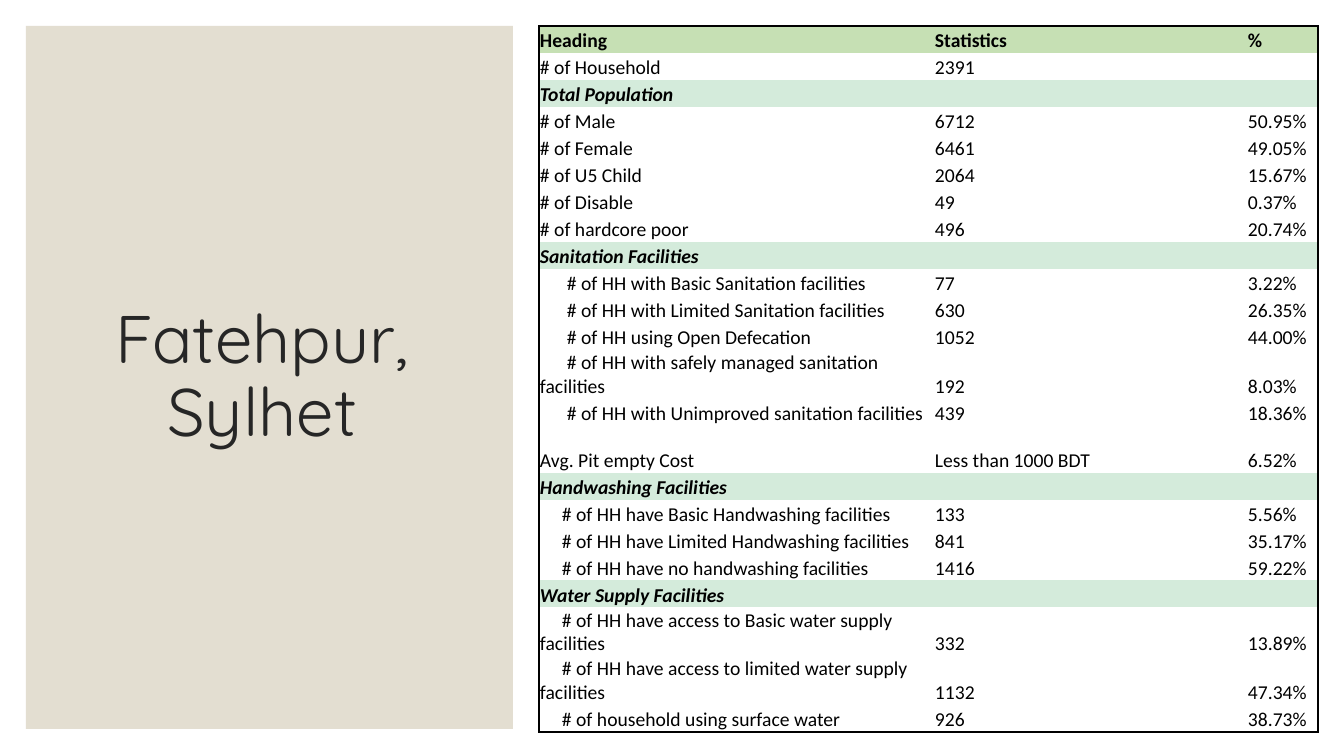
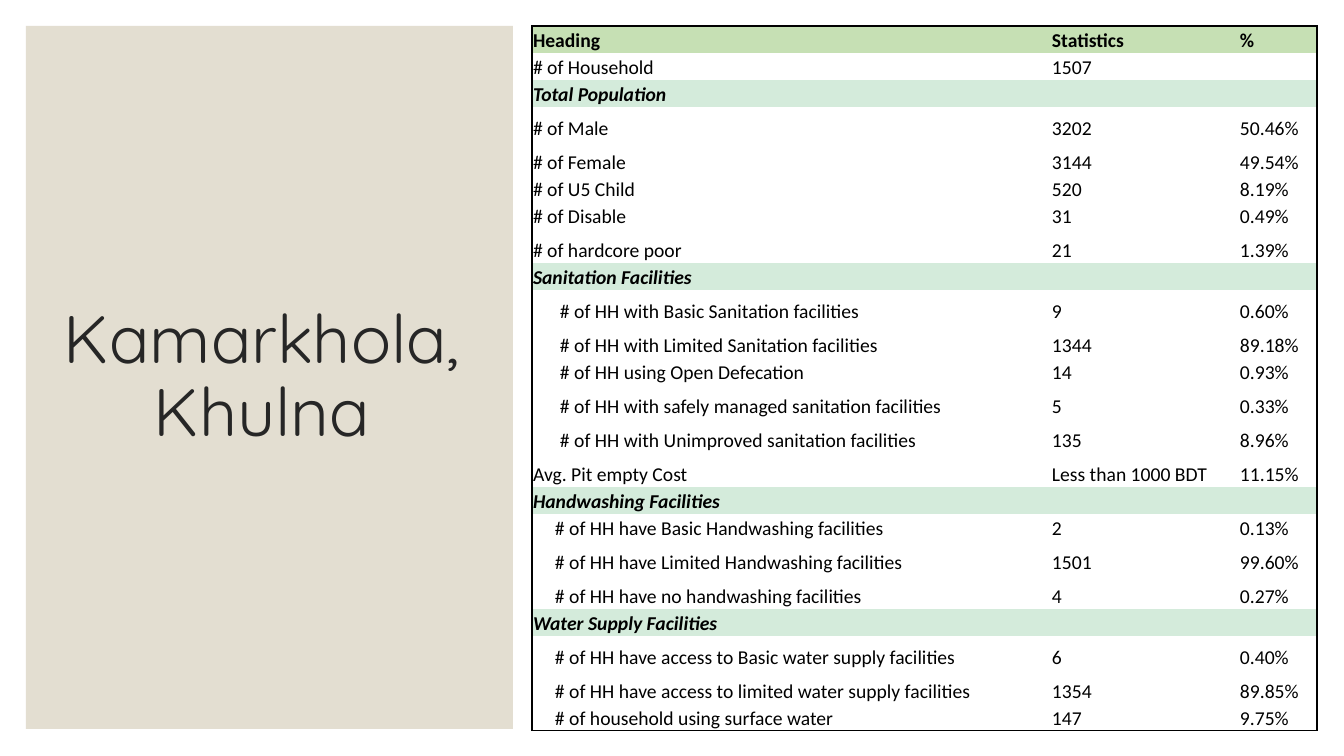
from lxml import etree
from pptx import Presentation
from pptx.dml.color import RGBColor
from pptx.enum import shapes, text
from pptx.oxml.ns import qn
from pptx.util import Emu, Pt

PX = 914400 / 100.8
PAGE_WIDTH, PAGE_HEIGHT = 1344, 756
TOP = 26

BLACK = RGBColor(0x00, 0x00, 0x00)
WHITE = RGBColor(0xFF, 0xFF, 0xFF)
INK = RGBColor(0x26, 0x26, 0x26)
SAND = RGBColor(0xE3, 0xDE, 0xD1)
HEADING_GREEN = RGBColor(0xC6, 0xE0, 0xB4)
SECTION_GREEN = RGBColor(0xD4, 0xEB, 0xDB)

TITLE_FONT, TABLE_FONT = "Quicksand", "Calibri"

# Each section: name, first-line indent in px, row labels
SECTIONS = [
    (None, 0, ["# of Household"]),
    ("Total Population", 0, [
        "# of Male", "# of Female", "# of U5 Child", "# of Disable",
        "# of hardcore poor"]),
    ("Sanitation Facilities", 27, [
        "# of HH with Basic Sanitation facilities",
        "# of HH with Limited Sanitation facilities",
        "# of HH using Open Defecation",
        "# of HH with safely managed sanitation facilities",
        "# of HH with Unimproved sanitation facilities"]),
    (None, 0, ["Avg. Pit empty Cost"]),
    ("Handwashing Facilities", 22, [
        "# of HH have Basic Handwashing facilities",
        "# of HH have Limited Handwashing facilities",
        "# of HH have no handwashing facilities"]),
    ("Water Supply Facilities", 22, [
        "# of HH have access to Basic water supply facilities",
        "# of HH have access to limited water supply facilities",
        "# of household using surface water"]),
]

# Statistics and share, in the order of the row labels
FATEHPUR = [
    ("2391", ""), ("6712", "50.95%"), ("6461", "49.05%"),
    ("2064", "15.67%"), ("49", "0.37%"), ("496", "20.74%"),
    ("77", "3.22%"), ("630", "26.35%"), ("1052", "44.00%"),
    ("192", "8.03%"), ("439", "18.36%"),
    ("Less than 1000 BDT", "6.52%"),
    ("133", "5.56%"), ("841", "35.17%"), ("1416", "59.22%"),
    ("332", "13.89%"), ("1132", "47.34%"), ("926", "38.73%"),
]
KAMARKHOLA = [
    ("1507", ""), ("3202", "50.46%"), ("3144", "49.54%"),
    ("520", "8.19%"), ("31", "0.49%"), ("21", "1.39%"),
    ("9", "0.60%"), ("1344", "89.18%"), ("14", "0.93%"),
    ("5", "0.33%"), ("135", "8.96%"),
    ("Less than 1000 BDT", "11.15%"),
    ("2", "0.13%"), ("1501", "99.60%"), ("4", "0.27%"),
    ("6", "0.40%"), ("1354", "89.85%"), ("147", "9.75%"),
]
ROW_HEIGHT = 27


def px(length):
    return Emu(round(length * PX))


def place(shape, left, top, width, height):
    shape.left, shape.top = px(left), px(top)
    shape.width, shape.height = px(width), px(height)


def add_panel(page):
    panel = page.shapes.add_shape(
        shapes.MSO_SHAPE.RECTANGLE, px(26), px(TOP), px(487), px(703))
    panel.shadow.inherit = False
    panel.fill.solid()
    panel.fill.fore_color.rgb = SAND
    panel.line.fill.background()
    # Keep the panel behind the title
    page.shapes._spTree.insert(2, panel._element)


def set_title(page, wording):
    title = page.shapes.title
    place(title, 45, 61, 434, 634)
    frame = title.text_frame
    frame.text = wording
    frame.word_wrap = True
    frame.auto_size = text.MSO_AUTO_SIZE.NONE
    frame.vertical_anchor = text.MSO_ANCHOR.MIDDLE
    para = frame.paragraphs[0]
    para.alignment = text.PP_ALIGN.CENTER
    para.line_spacing = 0.9
    font = para.runs[0].font
    font.name, font.size, font.color.rgb = TITLE_FONT, Pt(48), INK


def set_borders(cell, visible):
    """Draw the named edges (L, R, T, B) and hide the others."""
    properties = cell._tc.get_or_add_tcPr()
    for edge in "LRTB":
        line = etree.SubElement(properties, qn(f"a:ln{edge}"), w=str(Pt(1)))
        if edge in visible:
            fill = etree.SubElement(line, qn("a:solidFill"))
            etree.SubElement(fill, qn("a:srgbClr"), val=str(BLACK))
        else:
            etree.SubElement(line, qn("a:noFill"))


def fill_cell(cell, wording, color, borders, indent=0, bold=False, italic=False):
    cell.margin_left = cell.margin_right = cell.margin_top = px(1)
    cell.margin_bottom = 0
    cell.vertical_anchor = text.MSO_ANCHOR.BOTTOM
    set_borders(cell, borders)
    cell.fill.solid()
    cell.fill.fore_color.rgb = color
    para = cell.text_frame.paragraphs[0]
    if not wording:
        # An empty cell must not be taller than its row
        etree.SubElement(para._p, qn("a:endParaRPr"), sz="1400")
        return
    para.text = wording
    if indent:
        layout = para._p.get_or_add_pPr()
        layout.set("marL", "0")
        layout.set("indent", str(px(indent)))
    font = para.runs[0].font
    font.name, font.size, font.color.rgb = TABLE_FONT, Pt(14), BLACK
    font.bold, font.italic = bold, italic


def table_rows(values):
    """Return (texts, fill colour, label indent, bold, italic) for each row."""
    rows = [(("Heading", "Statistics", "%"), HEADING_GREEN, 0, True, False)]
    figures = iter(values)
    for name, indent, labels in SECTIONS:
        if name:
            rows.append(((name, "", ""), SECTION_GREEN, 0, True, True))
        for label in labels:
            rows.append(((label, *next(figures)), WHITE, indent, False, False))
    return rows


def add_statistics(page, left, widths, values, tall_rows, tall_height):
    rows = table_rows(values)
    heights = [tall_height if i in tall_rows else ROW_HEIGHT
               for i in range(len(rows))]
    table = page.shapes.add_table(
        len(rows), len(widths), px(left), px(TOP),
        px(sum(widths)), px(sum(heights))).table
    table.first_row = table.horz_banding = False
    for column, width in zip(table.columns, widths):
        column.width = px(width)
    last_row, last_column = len(rows) - 1, len(widths) - 1

    for r, (texts, color, indent, bold, italic) in enumerate(rows):
        table.rows[r].height = px(heights[r])
        is_section = color == SECTION_GREEN
        for c, wording in enumerate(texts):
            borders = "L" if c == 0 else ""
            borders += "R" if c == last_column or is_section and c == 0 else ""
            borders += "T" if r == 0 else ""
            borders += "B" if r == last_row else ""
            fill_cell(table.cell(r, c), wording, color, borders,
                      indent if c == 0 else 0, bold, italic)
        if is_section:
            table.cell(r, 0).merge(table.cell(r, last_column))


def add_place(deck, name, **statistics):
    page = deck.slides.add_slide(deck.slide_layouts[5])
    add_panel(page)
    set_title(page, name)
    add_statistics(page, **statistics)


def main():
    deck = Presentation()
    deck.slide_width, deck.slide_height = px(PAGE_WIDTH), px(PAGE_HEIGHT)
    add_place(deck, "Fatehpur, Sylhet", left=539, widths=(395, 313, 71),
              values=FATEHPUR, tall_rows={12, 14, 20, 21}, tall_height=47)
    add_place(deck, "Kamarkhola, Khulna", left=532, widths=(519, 188, 78),
              values=KAMARKHOLA, tall_height=34,
              tall_rows={3, 4, 7, 9, 10, 12, 13, 14, 17, 18, 20, 21})
    deck.save("out.pptx")


if __name__ == "__main__":
    main()
